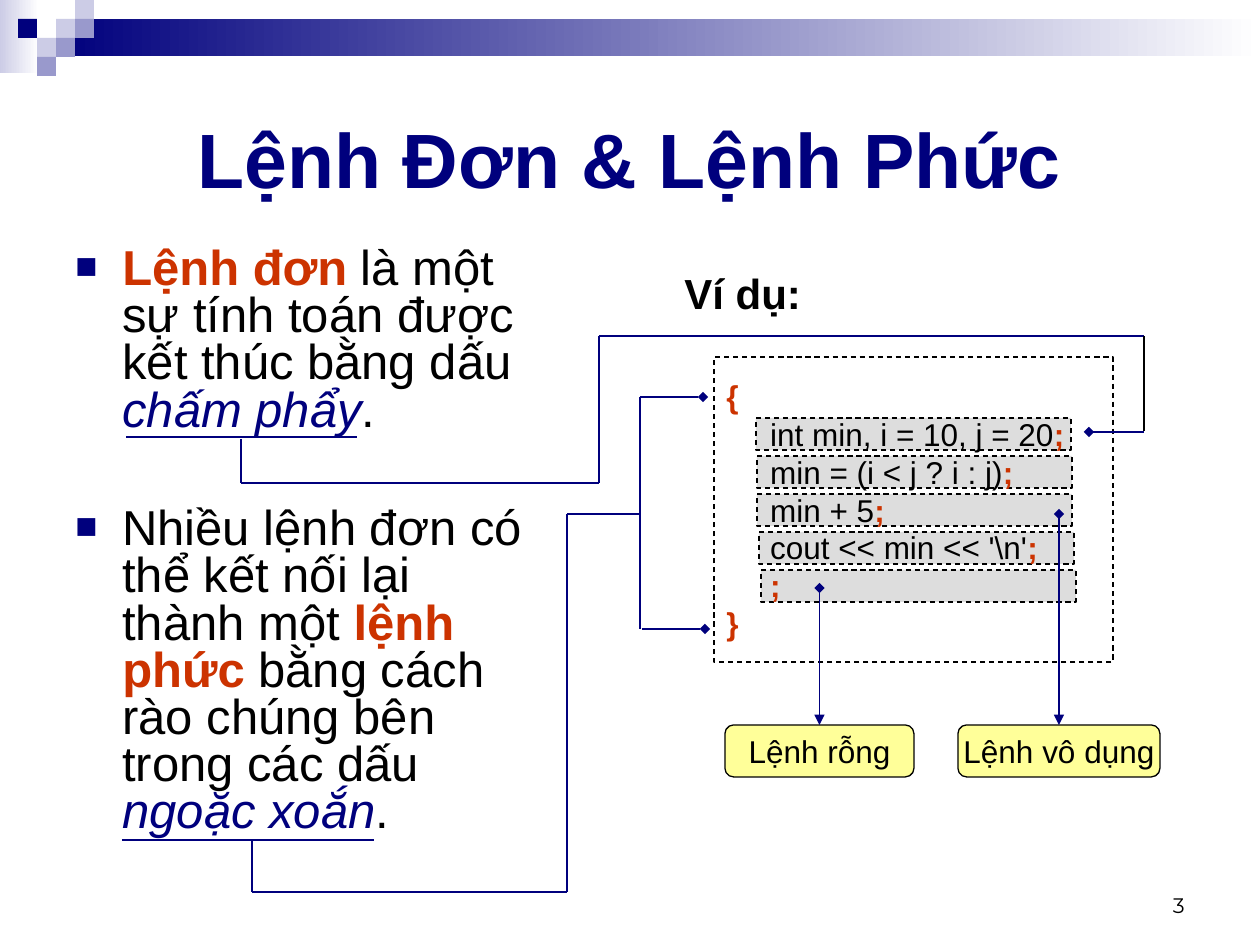
from itertools import pairwise

from lxml import etree
from pptx import Presentation
from pptx.dml.color import RGBColor
from pptx.enum.dml import MSO_LINE
from pptx.enum.shapes import MSO_CONNECTOR, MSO_SHAPE
from pptx.enum.text import MSO_ANCHOR, PP_ALIGN
from pptx.oxml.ns import qn
from pptx.util import Emu, Pt

C = {"navy": "00007D", "mid": "9999CC", "pale": "CCCCE6", "white": "FFFFFF",
     "red": "CC3300", "black": "000000", "grey": "DDDDDD", "yellow": "FFFF99"}


def px(n):
    return Emu(round(n * 914400 / 126))


def rgb(name):
    return RGBColor.from_string(C[name])


def add_run(p, text, size=18, color="black", bold=False, italic=False, font="Arial"):
    r = p.add_run()
    r.text = text
    f = r.font
    f.size, f.bold, f.italic, f.name = Pt(size), bold, italic, font
    f.color.rgb = rgb(color)


def add_box(s, x, y, w, h, fill=None, line=None, dash=False, kind=MSO_SHAPE.RECTANGLE):
    sp = s.shapes.add_shape(kind, px(x), px(y), px(w), px(h))
    sp.shadow.inherit = False
    if fill is None:
        sp.fill.background()
    elif isinstance(fill, tuple):
        sp.fill.gradient()
        sp.fill.gradient_angle = 0
        for stop, name in zip(sp.fill.gradient_stops, fill):
            stop.color.rgb = rgb(name)
    else:
        sp.fill.solid()
        sp.fill.fore_color.rgb = rgb(fill)
    if line:
        sp.line.color.rgb = rgb(line)
        sp.line.width = Pt(0.75)
        if dash:
            sp.line.dash_style = MSO_LINE.DASH
    else:
        sp.line.fill.background()
    return sp


def text_frame(s, x, y, w, h, anchor=MSO_ANCHOR.TOP):
    tf = s.shapes.add_textbox(px(x), px(y), px(w), px(h)).text_frame
    tf.word_wrap = True
    tf.vertical_anchor = anchor
    return tf


def add_line(s, start, end, color="navy", head=None, tail=None):
    c = s.shapes.add_connector(MSO_CONNECTOR.STRAIGHT, *map(px, (*start, *end)))
    c.line.color.rgb = rgb(color)
    c.line.width = Pt(0.75)
    ln = c.line._get_or_add_ln()
    for tag, kind in (("a:headEnd", head), ("a:tailEnd", tail)):
        if kind:
            etree.SubElement(ln, qn(tag), type=kind)
    etree.SubElement(c._element.spPr, qn("a:effectLst"))
    return c


def add_path(s, *points):
    for start, end in pairwise(points):
        add_line(s, start, end)


def add_bullet(p):
    pPr = p._p.get_or_add_pPr()
    pPr.set("marL", str(px(47)))
    pPr.set("indent", str(-px(47)))
    clr = etree.SubElement(pPr, qn("a:buClr"))
    etree.SubElement(clr, qn("a:srgbClr"), val=C["navy"])
    etree.SubElement(pPr, qn("a:buSzPct"), val="75000")
    etree.SubElement(pPr, qn("a:buFont"), typeface="Arial")
    etree.SubElement(pPr, qn("a:buChar"), char="■")


def header(s, x, y, w):
    # Gradient strips
    add_box(s, x, y, 39, 73, ("pale", "white"))
    add_box(s, x + 57, y + 19, w - 57, 37, ("navy", "white"))
    # Mosaic squares on a 19 px grid: column, row, colour
    for col, row, color in ((3, 1, "pale"), (4, 0, "pale"), (4, 1, "mid"), (2, 2, "pale"),
                            (1, 1, "navy"), (3, 2, "mid"), (2, 3, "mid")):
        add_box(s, x + 19 * col - 1, y + 19 * row, 19, 19, color)


def title(s, x, y, w, h):
    p = text_frame(s, x, y, w, h, MSO_ANCHOR.MIDDLE).paragraphs[0]
    p.alignment = PP_ALIGN.CENTER
    add_run(p, "Lệnh Đơn & Lệnh Phức", size=44, color="navy", bold=True)


def body(s, x, y, w, h):
    key = {"color": "red", "bold": True}
    term = {"color": "navy", "italic": True}
    items = (
        (("Lệnh đơn ", key), ("là một sự tính toán được kết thúc bằng dấu ", {}),
         ("chấm phẩy", term), (".", {})),
        (("Nhiều lệnh đơn có thể kết nối lại thành một ", {}), ("lệnh phức ", key),
         ("bằng cách rào chúng bên trong các dấu ", {}), ("ngoặc xoắn", term), (".", {})),
    )
    tf = text_frame(s, x, y, w, h)
    for i, runs in enumerate(items):
        p = tf.add_paragraph() if i else tf.paragraphs[0]
        add_bullet(p)
        p.line_spacing = 0.8
        if i:
            p.space_before = Pt(41)
        for text, fmt in runs:
            add_run(p, text, size=28, **fmt)


def example(s, x, y, w, h):
    # Heading
    p = text_frame(s, x - 42, y - 96, 242, 55).paragraphs[0]
    add_run(p, "Ví dụ:", size=24, bold=True)
    # Statement bars
    for i, dx in enumerate((42, 43, 43, 45, 47)):
        add_box(s, x + dx, y + 61 + 38 * i, 315, 32, "grey", "black", dash=True)
    # Code: plain part, highlighted part
    code = (("", "{"), ("     int min, i = 10, j = 20", ";"), ("     min = (i < j ? i : j)", ";"),
            ("     min + 5", ";"), ("     cout << min << '\\n'", ";"), ("     ", ";"), ("", "}"))
    tf = add_box(s, x, y, w, h, line="black", dash=True).text_frame
    tf.word_wrap = True
    tf.vertical_anchor = MSO_ANCHOR.MIDDLE
    for i, (plain, mark) in enumerate(code):
        p = tf.add_paragraph() if i else tf.paragraphs[0]
        p.alignment = PP_ALIGN.LEFT
        if plain:
            add_run(p, plain)
        add_run(p, mark, color="red", bold=True)


def callout(s, x, y, w, h, text, rise):
    sp = add_box(s, x, y, w, h, "yellow", "black", kind=MSO_SHAPE.ROUNDED_RECTANGLE)
    tf = sp.text_frame
    tf.word_wrap = False
    tf.vertical_anchor = MSO_ANCHOR.MIDDLE
    p = tf.paragraphs[0]
    p.alignment = PP_ALIGN.CENTER
    add_run(p, text)
    # Arrow from the statement down to the label
    mid = x + w / 2
    c = add_line(s, (mid, y - rise), (mid, y), head="diamond", tail="triangle")
    c.end_connect(sp, 0)


def semicolon_link(s, x, y, w, h):
    right, bottom = x + w, y + h
    add_path(s, (x, y + 101), (x + 231, y + 101))
    add_path(s, (x + 115, y + 103), (x + 115, bottom), (x + 473, bottom),
             (x + 473, y), (right, y))
    add_line(s, (right, y + 95), (right, y), color="black")
    add_line(s, (right, y + 96), (right - 55, y + 96), tail="diamond")


def brace_link(s, x, y, w, h):
    right, bottom = x + w, y + h
    spine = right - 63
    add_path(s, (x, bottom - 52), (x + 252, bottom - 52))
    add_path(s, (x + 130, bottom - 52), (x + 130, bottom), (x + 445, bottom),
             (x + 445, y + 117), (spine, y + 117))
    add_path(s, (spine, y), (spine, y + 232))
    add_line(s, (spine, y), (right, y), tail="diamond")
    add_line(s, (spine + 2, y + 232), (right + 2, y + 232), tail="diamond")


def page_number(s, x, y, w, h):
    p = text_frame(s, x, y, w, h, MSO_ANCHOR.BOTTOM).paragraphs[0]
    p.alignment = PP_ALIGN.RIGHT
    add_run(p, "3", size=12, font="Montserrat")


def main():
    prs = Presentation()
    prs.slide_width, prs.slide_height = px(1260), px(945)
    s = prs.slides.add_slide(prs.slide_layouts[6])
    header(s, 0, 0, 1260)
    title(s, 63, 63, 1134, 189)
    body(s, 63, 242, 483, 651)
    example(s, 714, 357, 399, 305)
    callout(s, 725, 725, 189, 52, "Lệnh rỗng", rise=137)
    callout(s, 958, 725, 202, 52, "Lệnh vô dụng", rise=211)
    brace_link(s, 122, 397, 581, 495)
    semicolon_link(s, 126, 336, 1018, 147)
    page_number(s, 903, 861, 294, 63)
    prs.save("out.pptx")


if __name__ == "__main__":
    main()
